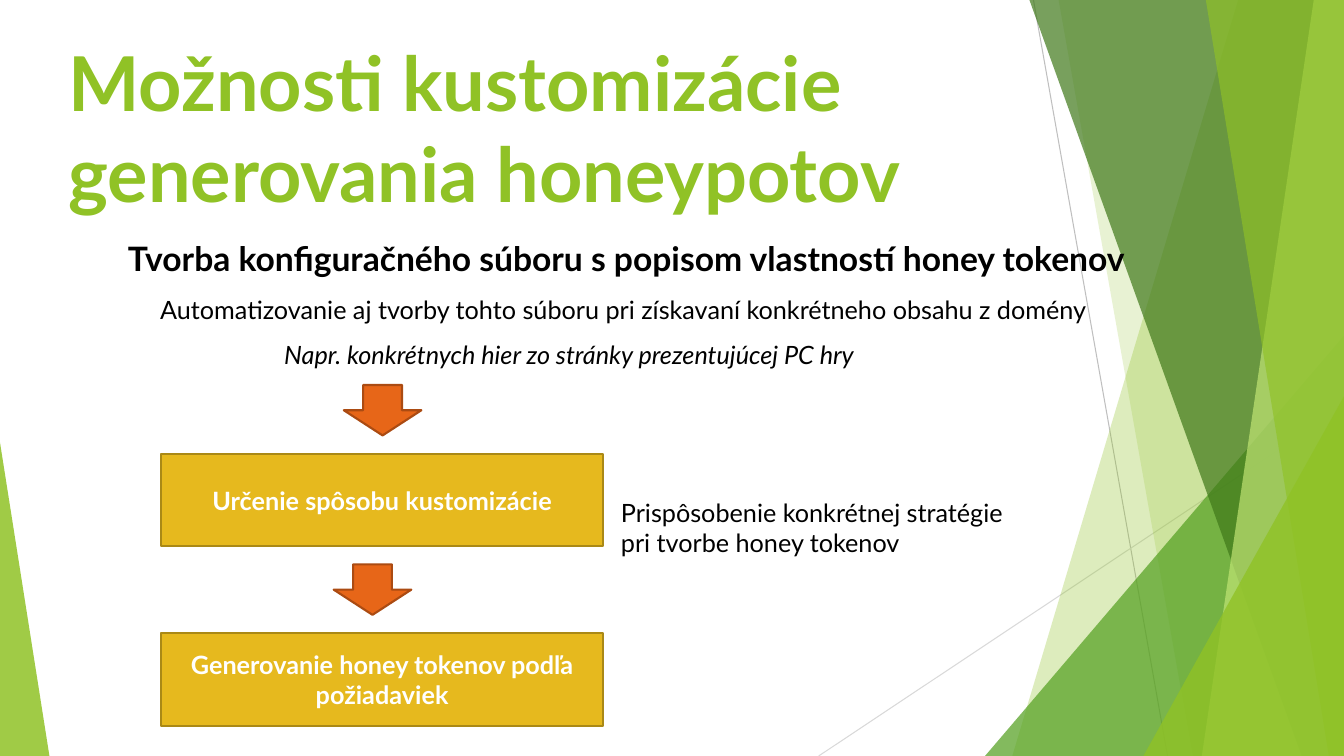
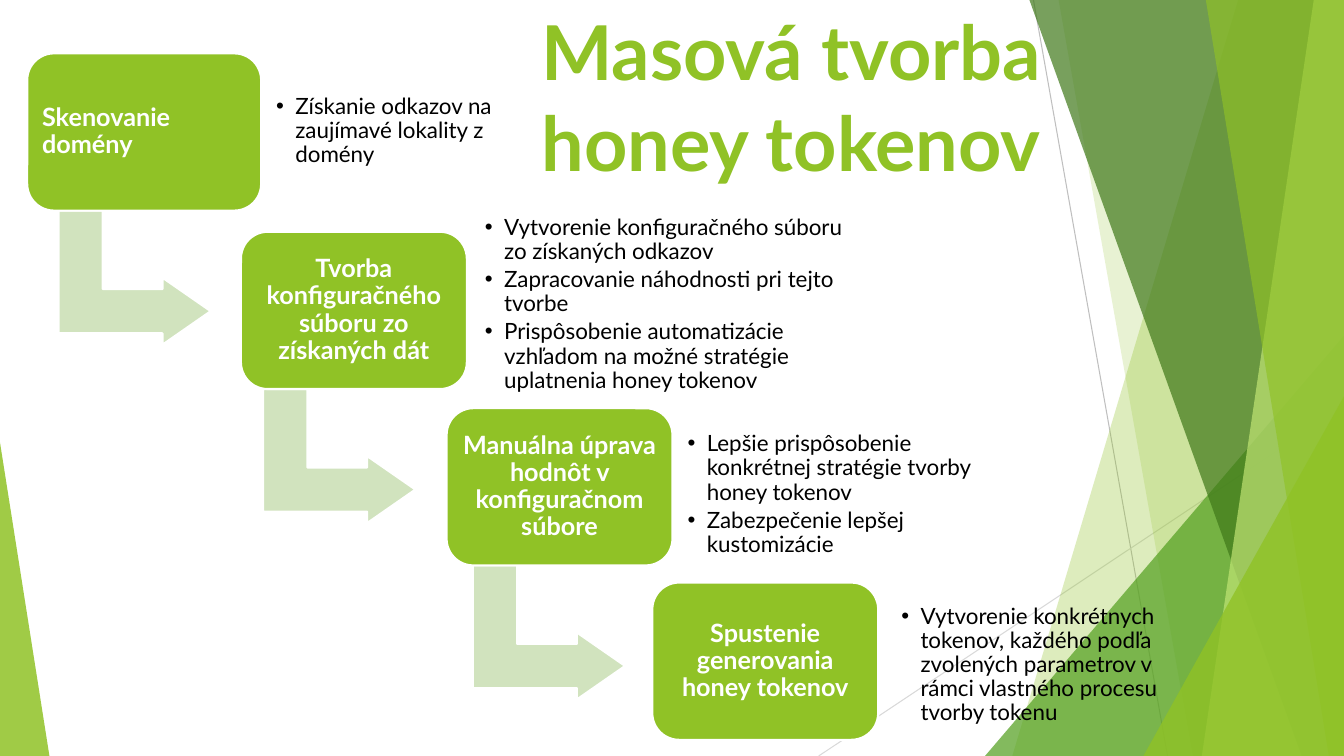
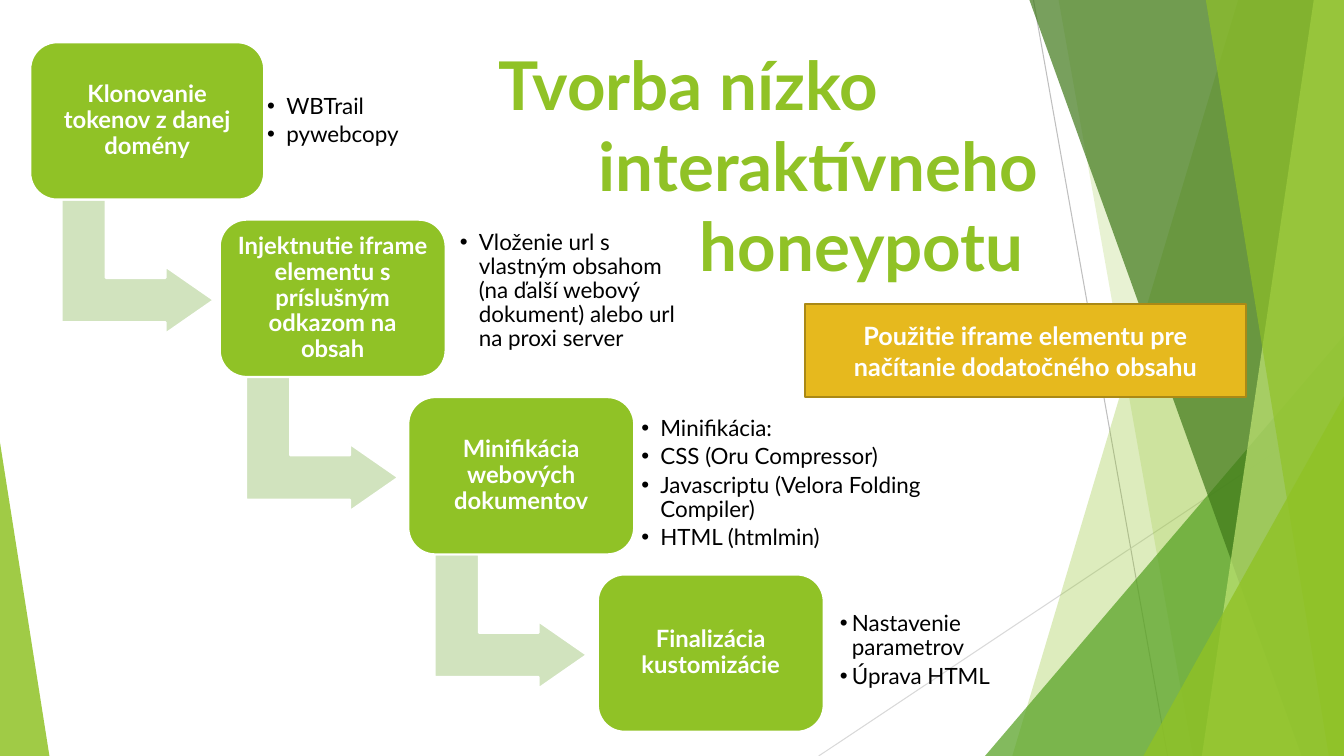
"""Build three slides about honeypot customisation on a shared green facet master."""
from dataclasses import dataclass

from lxml.etree import SubElement
from pptx import Presentation
from pptx.dml.color import RGBColor
from pptx.enum.shapes import MSO_CONNECTOR as CONNECTOR, MSO_SHAPE as SHAPE
from pptx.enum.text import MSO_ANCHOR as ANCHOR, MSO_AUTO_SIZE as AUTO_SIZE, PP_ALIGN as ALIGN
from pptx.oxml.ns import qn
from pptx.util import Inches, Pt

WIDTH, HEIGHT = 13.33, 7.5
TITLE_ONLY = 5
COLORS = {
    "green": "90C226", "mid_green": "54A021", "dark_green": "3F7819",
    "light_green": "C0E474", "pale_green": "D1E3BE",
    "gold": "E6B91E", "gold_edge": "AA8916",
    "orange": "E76618", "orange_edge": "AB4B12",
    "gray": "BFBFBF", "light_gray": "D9D9D9",
    "white": "FFFFFF", "black": "000000",
}
FORMATS = {
    "title": {"size": Pt(54), "bold": True, "color": "green"},
    "long_title": {"size": Pt(48), "bold": True, "color": "green"},
    "heading": {"size": Pt(24), "bold": True, "color": "black"},
    "plain": {"size": Pt(18), "color": "black"},
    "example": {"size": Pt(18), "italic": True, "color": "black"},
    "label": {"size": Pt(18), "bold": True, "color": "white"},
    "small_label": {"size": Pt(17), "bold": True, "color": "white"},
    "note": {"size": Pt(16), "color": "black"},
}
FACET_LINES = [
    ((10.25, 0), (11.58, HEIGHT), "gray"),
    ((WIDTH, 4.03), (8.12, HEIGHT), "light_gray"),
]
FACETS = [
    ("band", (12.28, 10.04), "green", 30),
    ("band", (10.5, 11.83), "green", 20),
    ("triangle", (9.77, 3.33, 3.56, 4.17, 1), "mid_green", 72),
    ("band", (10.21, 12.91), "dark_green", 70),
    ("band", (13.03, 11.92), "light_green", 70),
    ("band", (11.96, 13.18), "green", 65),
    ("triangle", (11.34, 3.93, 1.99, 3.57, 1), "green", 80),
    ("triangle", (0, 4.39, 0.49, 3.11, 0), "green", 85),
]


@dataclass
class Step:
    """One stair of a process: its box and the note beside it."""

    label: str
    notes: list
    left: float
    top: float
    note_box: tuple
    width: float = 2.24
    arrow_shift: float = 0.35
    align: ALIGN = ALIGN.CENTER
    indent: float = 0.19
    inset: float = 0.07


def rgb(name):
    """Return the named colour."""
    return RGBColor.from_string(COLORS[name])


def box_lengths(box):
    """Turn a left, top, width, height box into lengths."""
    return [Inches(value) for value in box]


def write(frame, lines, style, align=ALIGN.LEFT, inset=None, **paragraph_format):
    """Fill a text frame with one paragraph per line and return the paragraphs."""
    frame.word_wrap = True
    frame.auto_size = AUTO_SIZE.NONE
    if inset is not None:
        for side in ("left", "top", "right", "bottom"):
            setattr(frame, f"margin_{side}", Inches(inset))
    paragraphs = []
    for index, line in enumerate(lines):
        paragraph = frame.add_paragraph() if index else frame.paragraphs[0]
        for name, value in {"alignment": align, **paragraph_format}.items():
            setattr(paragraph, name, value)
        run = paragraph.add_run()
        run.text = line
        for name, value in {"name": "Lato", **FORMATS[style]}.items():
            if name == "color":
                run.font.color.rgb = rgb(value)
            else:
                setattr(run.font, name, value)
        paragraphs.append(paragraph)
    return paragraphs


def paint(shape, fill, edge=None, opacity=None):
    """Set fill, outline and opacity of a shape and remove its shadow."""
    shape.shadow.inherit = False
    shape.fill.solid()
    shape.fill.fore_color.rgb = rgb(fill)
    if edge:
        shape.line.color.rgb = rgb(edge)
        shape.line.width = Pt(1.5)
    else:
        shape.line.fill.background()
    if opacity:
        color = shape.element.xpath("./p:spPr/a:solidFill/a:srgbClr")[0]
        SubElement(color, qn("a:alpha"), val=str(opacity * 1000))


def add_preset(slide, kind, box, fill, edge=None, opacity=None, adjustments=()):
    """Add a painted preset shape."""
    shape = slide.shapes.add_shape(kind, *box_lengths(box))
    for index, value in enumerate(adjustments):
        shape.adjustments[index] = value
    paint(shape, fill, edge, opacity)
    return shape


def add_facet_line(slide, start, end, color):
    """Add a thin straight line without shadow."""
    line = slide.shapes.add_connector(CONNECTOR.STRAIGHT, *box_lengths(start + end))
    line.line.color.rgb = rgb(color)
    line.line.width = Pt(0.75)
    SubElement(line.element.spPr, qn("a:effectLst"))
    return line


def add_band(slide, top_left, bottom_left, color, opacity):
    """Add a full-height band running from a slanted left side to the slide edge."""
    builder = slide.shapes.build_freeform(Inches(top_left), 0)
    corners = [(WIDTH, 0), (WIDTH, HEIGHT), (bottom_left, HEIGHT)]
    builder.add_line_segments([box_lengths(corner) for corner in corners], close=True)
    band = builder.convert_to_shape()
    paint(band, color, opacity=opacity)
    return band


def decorate_master(master, slide):
    """Draw the facets and move them behind the placeholders of the master."""
    parts = [add_facet_line(slide, *line) for line in FACET_LINES]
    for kind, numbers, color, opacity in FACETS:
        if kind == "band":
            parts.append(add_band(slide, *numbers, color, opacity))
        else:
            parts.append(add_preset(slide, SHAPE.ISOSCELES_TRIANGLE, numbers[:4], color,
                                    opacity=opacity, adjustments=numbers[4:]))
    for index, part in enumerate(parts):
        part.element.xpath(".//p:cNvPr")[0].set("id", str(101 + index))
        master.shapes.element.insert(2 + index, part.element)


def add_title(slide, box, lines, style="title", indent=0):
    """Place the title, shifting each further line by the indent."""
    title = slide.shapes.title
    title.left, title.top, title.width, title.height = box_lengths(box)
    title.text_frame.vertical_anchor = ANCHOR.TOP
    for index, paragraph in enumerate(write(title.text_frame, lines, style)):
        paragraph._p.get_or_add_pPr().set("marL", str(Inches(index * indent)))


def add_text(slide, box, lines, style):
    """Add a plain text box."""
    textbox = slide.shapes.add_textbox(*box_lengths(box))
    write(textbox.text_frame, lines, style)


def add_banner(slide, left, top, text):
    """Add a gold box with a centred label."""
    banner = add_preset(slide, SHAPE.RECTANGLE, (left, top, 4.38, 0.92), "gold", "gold_edge")
    banner.text_frame.vertical_anchor = ANCHOR.MIDDLE
    write(banner.text_frame, [text], "label", ALIGN.CENTER)


def add_note(slide, step):
    """Add the bulleted note of a step, relative to its box."""
    shift, drop, width, height = step.note_box
    box = (step.left + shift, step.top + drop, width, height)
    frame = slide.shapes.add_textbox(*box_lengths(box)).text_frame
    frame.vertical_anchor = ANCHOR.MIDDLE
    for paragraph in write(frame, step.notes, "note", inset=step.inset,
                           line_spacing=0.9, space_after=Pt(2.9)):
        properties = paragraph._p.get_or_add_pPr()
        properties.set("marL", str(Inches(step.indent)))
        properties.set("indent", str(-Inches(step.indent)))
        SubElement(properties, qn("a:buFont"), typeface="Arial")
        SubElement(properties, qn("a:buChar"), char="•")


def add_stairs(slide, steps, style):
    """Add the steps of a process with bent arrows between them."""
    for step in steps:
        if step is not steps[-1]:
            arrow = add_preset(slide, SHAPE.BENT_UP_ARROW,
                               (step.left + step.arrow_shift, step.top + 1.47, 1.33, 1.51),
                               "pale_green", "white", adjustments=(0.33, 0.25, 0.36))
            arrow.rotation = 90
        box = add_preset(slide, SHAPE.ROUNDED_RECTANGLE,
                         (step.left, step.top, step.width, 1.56),
                         "green", "white", adjustments=(0.17,))
        box.text_frame.vertical_anchor = ANCHOR.MIDDLE
        write(box.text_frame, [step.label], style, step.align, inset=0.07, line_spacing=0.9)
        add_note(slide, step)


def build_options(slide):
    """Fill the slide on customisation options."""
    add_title(slide, (0.58, 0.31, 9.4, 1.44), ["Možnosti kustomizácie generovania honeypotov"])
    add_text(slide, (1.17, 2.31, 10.69, 0.5),
             ["Tvorba konfiguračného súboru s popisom vlastností honey tokenov"], "heading")
    add_text(slide, (1.49, 2.87, 9.71, 0.4),
             ["Automatizovanie aj tvorby tohto súboru pri získavaní konkrétneho obsahu z domény"],
             "plain")
    add_text(slide, (2.72, 3.32, 6.52, 0.4),
             ["Napr. konkrétnych hier zo stránky prezentujúcej PC hry"], "example")
    add_banner(slide, 1.6, 4.5, "Určenie spôsobu kustomizácie")
    add_text(slide, (6.06, 4.88, 4.21, 0.71),
             ["Prispôsobenie konkrétnej stratégie", "pri tvorbe honey tokenov"], "plain")
    for left, top in ((3.41, 3.82), (3.31, 5.6)):
        add_preset(slide, SHAPE.DOWN_ARROW, (left, top, 0.77, 0.5), "orange", "orange_edge")
    add_banner(slide, 1.6, 6.28, "Generovanie honey tokenov podľa požiadaviek")


def build_mass_creation(slide):
    """Fill the slide on mass creation of tokens."""
    add_title(slide, (5.27, 0, 11.1, 1.44), ["Masová tvorba", "honey tokenov"])
    add_stairs(slide, [
        Step("Skenovanie domény", ["Získanie odkazov na zaujímavé lokality z domény"],
             0.27, 0.53, (2.4, 0.14, 2.46, 1.26), width=2.32, arrow_shift=0.4,
             align=ALIGN.JUSTIFY),
        Step("Tvorba konfiguračného súboru zo získaných dát",
             ["Vytvorenie konfiguračného súboru zo získaných odkazov",
              "Zapracovanie náhodnosti pri tejto tvorbe",
              "Prispôsobenie automatizácie vzhľadom na možné stratégie uplatnenia honey tokenov"],
             2.39, 2.3, (2.35, 0.09, 3.86, 1.26), arrow_shift=0.31),
        Step("Manuálna úprava hodnôt v konfiguračnom súbore",
             ["Lepšie prispôsobenie konkrétnej stratégie tvorby honey tokenov",
              "Zabezpečenie lepšej kustomizácie"],
             4.43, 4.05, (2.32, 0.23, 3.42, 1.26)),
        Step("Spustenie generovania honey tokenov",
             ["Vytvorenie konkrétnych tokenov, každého podľa zvolených parametrov "
              "v rámci vlastného procesu tvorby tokenu"],
             6.47, 5.78, (2.4, 0.19, 3.05, 1.26)),
    ], "label")


def build_low_interaction(slide):
    """Fill the slide on the low-interaction honeypot."""
    add_title(slide, (4.84, 0.38, 9.4, 2.72), ["Tvorba nízko", "interaktívneho", "honeypotu"],
              "long_title", indent=1)
    add_stairs(slide, [
        Step("Klonovanie tokenov z danej domény", ["WBTrail", "pywebcopy"],
             0.3, 0.42, (2.28, 0.15, 1.63, 1.26), width=2.32, arrow_shift=0.4),
        Step("Injektnutie iframe elementu s príslušným odkazom na obsah",
             ["Vloženie url s vlastným obsahom (na ďalší webový dokument) "
              "alebo url na proxi server"],
             2.18, 2.18, (2.31, 0.08, 2.32, 1.26)),
        Step("Minifikácia webových dokumentov",
             ["Minifikácia:", "CSS (Oru Compressor)",
              "Javascriptu (Velora Folding Compiler)", "HTML (htmlmin)"],
             4.05, 3.94, (2.24, 0.23, 3.42, 1.26)),
        Step("Finalizácia kustomizácie", ["Nastavenie parametrov", "Úprava HTML"],
             5.93, 5.7, (2.35, 0.25, 1.71, 1.01), indent=0.12, inset=0.05),
    ], "small_label")
    add_banner(slide, 7.98, 3.02, "Použitie iframe elementu pre načítanie dodatočného obsahu")


def main():
    """Build and save the presentation."""
    presentation = Presentation()
    presentation.slide_width, presentation.slide_height = Inches(WIDTH), Inches(HEIGHT)
    layout = presentation.slide_layouts[TITLE_ONLY]
    builders = (build_options, build_mass_creation, build_low_interaction)
    slides = [presentation.slides.add_slide(layout) for _ in builders]
    decorate_master(presentation.slide_master, slides[0])
    for build, slide in zip(builders, slides):
        build(slide)
    presentation.save("out.pptx")


if __name__ == "__main__":
    main()
